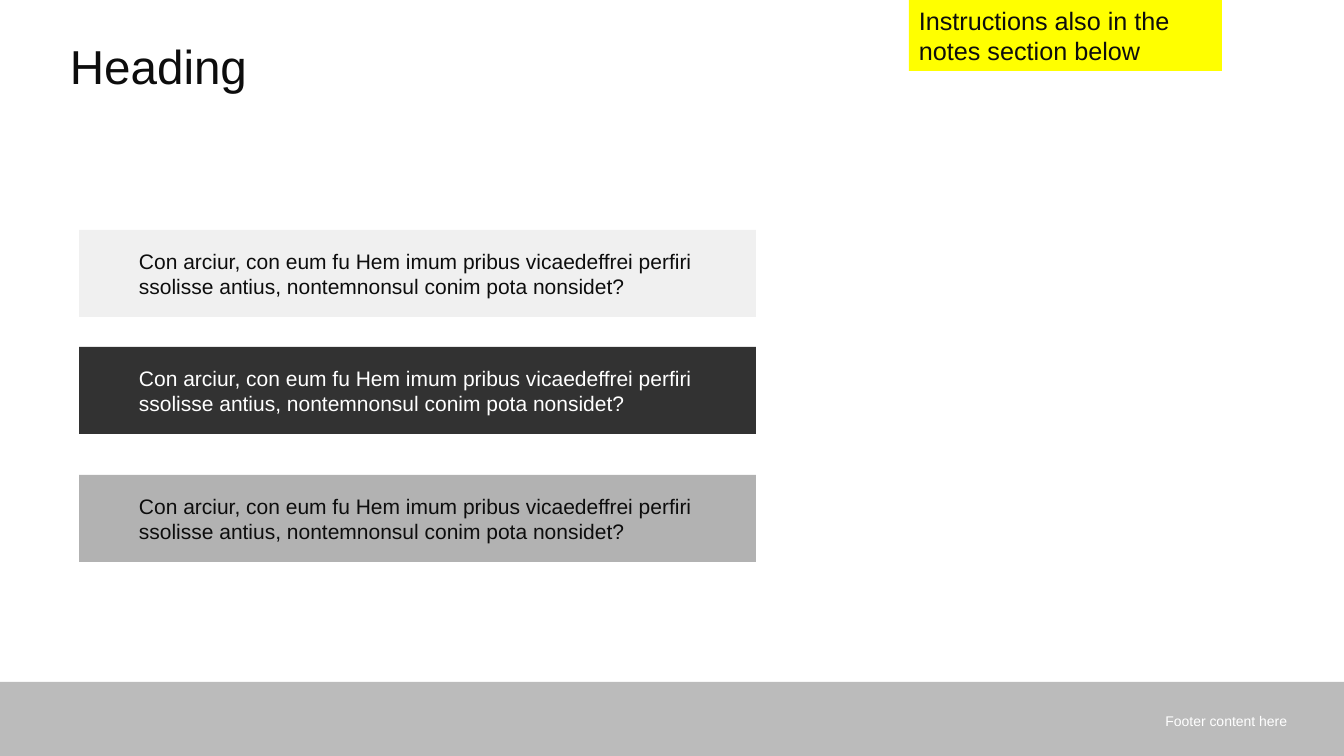
from dataclasses import dataclass

from lxml import etree
from pptx import Presentation
from pptx import util as u
from pptx.dml.color import RGBColor
from pptx.enum import shapes, text
from pptx.oxml.ns import qn
from pptx.shapes.autoshape import Shape
from pptx.slide import Slide

EMU_PER_PX = 914400 / 100.8
FONT = "Arial"
INK = RGBColor(0x0D, 0x0D, 0x0D)
WHITE = RGBColor(0xFF, 0xFF, 0xFF)
PALE_GREY = RGBColor(0xF0, 0xF0, 0xF0)
CHARCOAL = RGBColor(0x32, 0x32, 0x32)
MID_GREY = RGBColor(0xB2, 0xB2, 0xB2)
YELLOW = RGBColor(0xFF, 0xFF, 0x00)

QUESTION = (
    "Con arciur, con eum fu Hem imum pribus vicaedeffrei perfiri "
    "ssolisse antius, nontemnonsul conim pota nonsidet?"
)


@dataclass(frozen=True)
class Area:
    left: int
    top: int
    width: int
    height: int


@dataclass(frozen=True)
class QuestionBar:
    top: int
    fill: RGBColor
    color: RGBColor


BARS = (
    QuestionBar(230, PALE_GREY, INK),
    QuestionBar(347, CHARCOAL, WHITE),
    QuestionBar(475, MID_GREY, INK),
)


def px(length: int) -> u.Emu:
    return u.Emu(round(length * EMU_PER_PX))


def bounds(area: Area) -> tuple[u.Emu, u.Emu, u.Emu, u.Emu]:
    return px(area.left), px(area.top), px(area.width), px(area.height)


def add_panel(page: Slide, area: Area, fill: RGBColor) -> Shape:
    panel = page.shapes.add_shape(shapes.MSO_SHAPE.RECTANGLE, *bounds(area))
    panel.shadow.inherit = False
    panel.fill.solid()
    panel.fill.fore_color.rgb = fill
    panel.line.fill.background()
    return panel


def set_opacity(panel: Shape, percent: int) -> None:
    color = panel.fill._xPr.find(qn("a:solidFill"))[0]
    etree.SubElement(color, qn("a:alpha")).set("val", str(percent * 1000))


def write(
    box: Shape,
    words: str,
    *,
    size: int,
    color: RGBColor = INK,
    align: text.PP_ALIGN = text.PP_ALIGN.LEFT,
    anchor: text.MSO_ANCHOR = text.MSO_ANCHOR.TOP,
    line_spacing: float = 1.0,
    space_before: int = 0,
    indent: int = 0,
) -> None:
    frame = box.text_frame
    frame.word_wrap = True
    frame.vertical_anchor = anchor
    para = frame.paragraphs[0]
    para.alignment = align
    para.line_spacing = line_spacing
    para.space_before = u.Pt(space_before)
    para._p.get_or_add_pPr().set("marL", str(px(indent)))
    span = para.add_run()
    span.text = words
    span.font.name = FONT
    span.font.size = u.Pt(size)
    span.font.color.rgb = color


def main() -> None:
    deck = Presentation()
    deck.slide_width, deck.slide_height = px(1344), px(756)
    page = deck.slides.add_slide(deck.slide_layouts[6])

    footer_band = add_panel(page, Area(0, 682, 1344, 74), INK)
    set_opacity(footer_band, 28)

    heading = page.shapes.add_textbox(*bounds(Area(60, 38, 835, 134)))
    write(heading, "Heading", size=34, line_spacing=0.9)

    for bar in BARS:
        panel = add_panel(page, Area(79, bar.top, 677, 87), bar.fill)
        write(panel, QUESTION, size=15, color=bar.color,
              anchor=text.MSO_ANCHOR.MIDDLE, space_before=5, indent=50)

    footer = page.shapes.add_textbox(*bounds(Area(681, 701, 616, 40)))
    write(footer, "Footer content here", size=10, color=WHITE,
          align=text.PP_ALIGN.RIGHT, anchor=text.MSO_ANCHOR.MIDDLE)

    sticker = add_panel(page, Area(909, 0, 313, 71), YELLOW)
    write(sticker, "Instructions also in the notes section below", size=18)

    deck.save("out.pptx")


if __name__ == "__main__":
    main()
